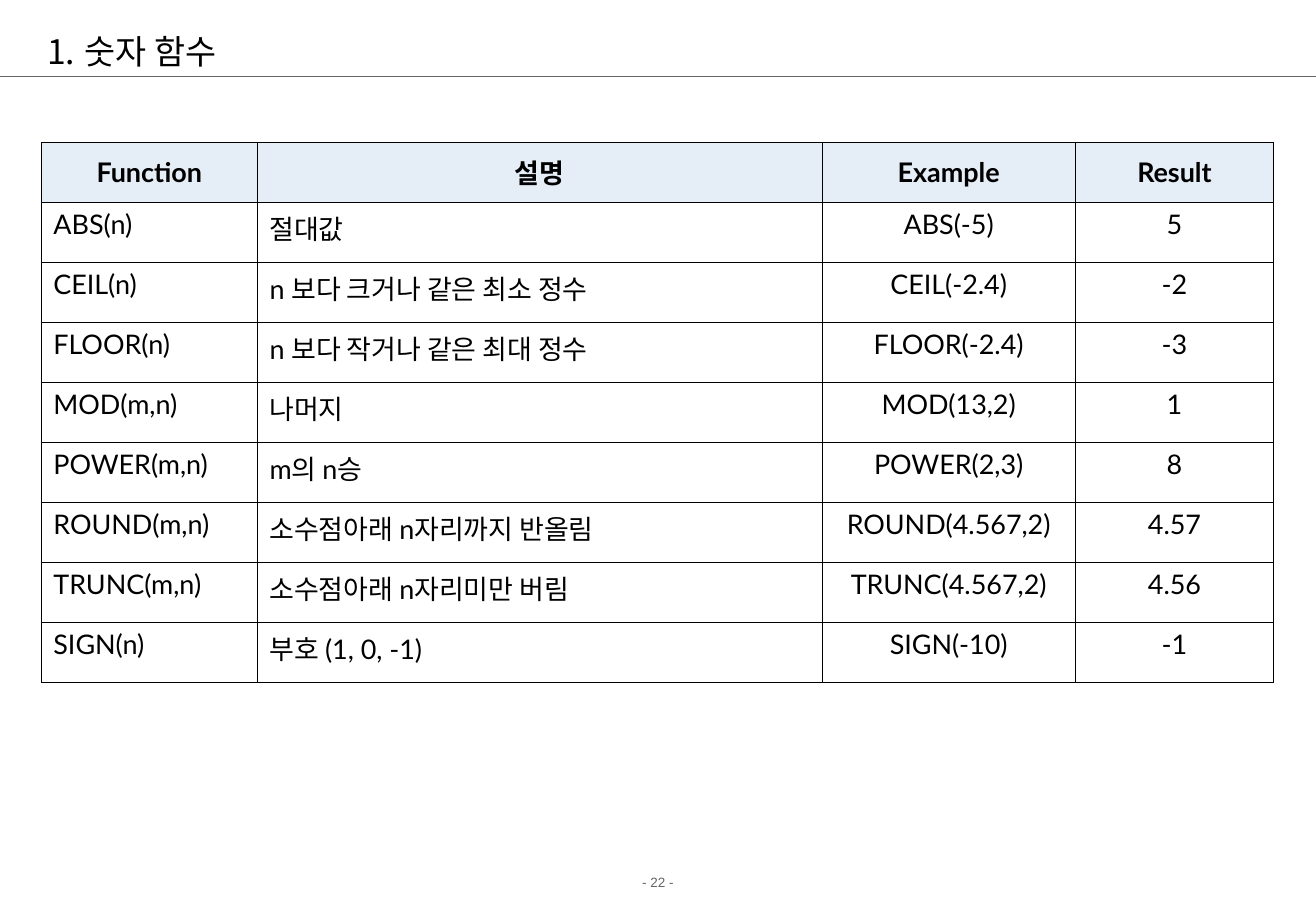
from lxml.etree import SubElement
from pptx import Presentation
from pptx.dml.color import RGBColor
from pptx.enum.shapes import MSO_CONNECTOR
from pptx.enum.text import MSO_ANCHOR as Anchor, PP_ALIGN as Align
from pptx.oxml.ns import qn
from pptx.util import Inches, Pt

BLACK = RGBColor(0x00, 0x00, 0x00)
WHITE = RGBColor(0xFF, 0xFF, 0xFF)
GRAY = RGBColor(0x66, 0x66, 0x66)
HEADER_BLUE = RGBColor(0xE5, 0xED, 0xF7)

SLIDE_WIDTH, SLIDE_HEIGHT = 10.84, 7.5
TABLE_HEIGHT = 4.45
COLUMN_WIDTHS = (1.78, 4.65, 2.09, 1.63)
COLUMN_ALIGNMENTS = (Align.LEFT, Align.LEFT, Align.CENTER, Align.CENTER)
FUNCTION_ROWS = (
    ("Function", "설명", "Example", "Result"),
    ("ABS(n)", "절대값", "ABS(-5)", "5"),
    ("CEIL(n)", "n 보다 크거나 같은 최소 정수", "CEIL(-2.4)", "-2"),
    ("FLOOR(n)", "n 보다 작거나 같은 최대 정수", "FLOOR(-2.4)", "-3"),
    ("MOD(m,n)", "나머지", "MOD(13,2)", "1"),
    ("POWER(m,n)", "m의 n승", "POWER(2,3)", "8"),
    ("ROUND(m,n)", "소수점아래 n자리까지 반올림", "ROUND(4.567,2)", "4.57"),
    ("TRUNC(m,n)", "소수점아래 n자리미만 버림", "TRUNC(4.567,2)", "4.56"),
    ("SIGN(n)", "부호 (1, 0, -1)", "SIGN(-10)", "-1"),
)


class SlideBuilder:
    """Draws styled elements on the current slide."""

    formats = {
        "title": {"name": "Montserrat", "size": Pt(20), "bold": False},
        "header": {"name": "Lato", "size": Pt(16), "bold": True},
        "body": {"name": "Lato", "size": Pt(16), "bold": False},
        "footer": {"name": "Arial", "size": Pt(8), "bold": False},
    }

    def __init__(self, slide):
        self.slide = slide

    def add_text(self, paragraph, text, style, color=BLACK, alignment=Align.LEFT):
        paragraph.alignment = alignment
        run = paragraph.add_run()
        run.text = text
        for attribute, value in self.formats[style].items():
            setattr(run.font, attribute, value)
        run.font.color.rgb = color

    def text_box(self, left, top, width, height):
        box = self.slide.shapes.add_textbox(*map(Inches, (left, top, width, height)))
        frame = box.text_frame
        frame.word_wrap = True
        frame.vertical_anchor = Anchor.MIDDLE
        return frame.paragraphs[0]

    def numbered_title(self, text, *bounds):
        paragraph = self.text_box(*bounds)
        properties = paragraph._p.get_or_add_pPr()
        properties.set("marL", str(Inches(0.31)))
        properties.set("indent", str(Inches(-0.31)))
        SubElement(properties, qn("a:buAutoNum"), type="arabicPeriod")
        self.add_text(paragraph, text, "title")

    def footer(self, text, *bounds):
        self.add_text(self.text_box(*bounds), text, "footer", GRAY, Align.CENTER)

    def rule(self, top, width):
        line = self.slide.shapes.add_connector(
            MSO_CONNECTOR.STRAIGHT, 0, Inches(top), Inches(width), Inches(top))
        line.line.color.rgb = GRAY
        line.line.width = Pt(0.75)
        SubElement(line._element.spPr, qn("a:effectLst"))

    def border(self, cell):
        properties = cell._tc.get_or_add_tcPr()
        for side in ("lnL", "lnR", "lnT", "lnB"):
            line = SubElement(properties, qn(f"a:{side}"), w=str(Pt(0.45)))
            fill = SubElement(line, qn("a:solidFill"))
            SubElement(fill, qn("a:srgbClr"), val=str(BLACK))

    def cell(self, cell, text, is_header, alignment):
        self.border(cell)
        cell.fill.solid()
        cell.fill.fore_color.rgb = HEADER_BLUE if is_header else WHITE
        cell.vertical_anchor = Anchor.MIDDLE if is_header else Anchor.TOP
        self.add_text(cell.text_frame.paragraphs[0], text,
                      "header" if is_header else "body",
                      alignment=Align.CENTER if is_header else alignment)

    def table(self, rows, left, top, height):
        frame = self.slide.shapes.add_table(
            len(rows), len(COLUMN_WIDTHS), Inches(left), Inches(top),
            Inches(sum(COLUMN_WIDTHS)), Inches(height))
        table = frame.table
        table.first_row = table.horz_banding = False
        for column, width in zip(table.columns, COLUMN_WIDTHS):
            column.width = Inches(width)
        for row_index, row in enumerate(rows):
            table.rows[row_index].height = Inches(height / len(rows))
            for column_index, text in enumerate(row):
                self.cell(table.cell(row_index, column_index), text,
                          row_index == 0, COLUMN_ALIGNMENTS[column_index])


def main():
    presentation = Presentation()
    presentation.slide_width = Inches(SLIDE_WIDTH)
    presentation.slide_height = Inches(SLIDE_HEIGHT)
    builder = SlideBuilder(presentation.slides.add_slide(presentation.slide_layouts[6]))
    builder.footer("- 22 -", 0, 7.14, SLIDE_WIDTH, 0.24)
    builder.rule(0.63, SLIDE_WIDTH)
    builder.numbered_title("숫자 함수", 0.29, 0.21, 10.17, 0.42)
    builder.table(FUNCTION_ROWS, 0.34, 1.17, TABLE_HEIGHT)
    presentation.save("out.pptx")


if __name__ == "__main__":
    main()
